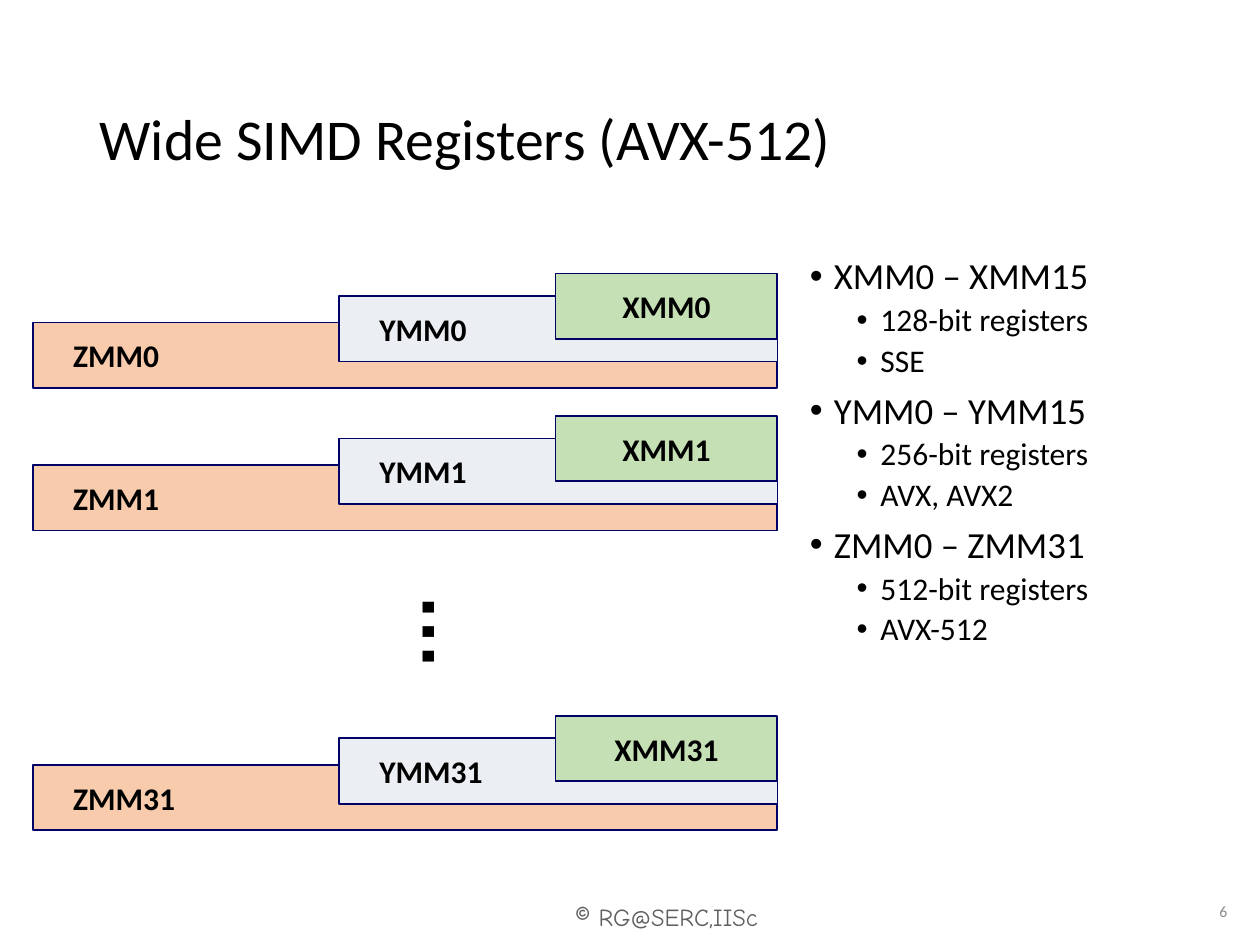
from lxml import etree
from pptx import Presentation
from pptx.dml.color import RGBColor
from pptx.enum.shapes import MSO_SHAPE
from pptx.enum.text import MSO_ANCHOR, PP_ALIGN
from pptx.oxml.ns import qn
from pptx.util import Inches, Pt

RECTANGLE = MSO_SHAPE.RECTANGLE
TOP, MIDDLE = MSO_ANCHOR.TOP, MSO_ANCHOR.MIDDLE
LEFT, CENTER, RIGHT = PP_ALIGN.LEFT, PP_ALIGN.CENTER, PP_ALIGN.RIGHT


def color(hex_string):
    return RGBColor.from_string(hex_string)


def write(shape, text, size, font="Calibri", fill="000000", bold=False, align=LEFT, anchor=MIDDLE):
    frame = shape.text_frame
    frame.text = text
    frame.word_wrap = True
    frame.vertical_anchor = anchor
    paragraph = frame.paragraphs[0]
    paragraph.alignment = align
    for run in paragraph.runs:
        run.font.size = Pt(size)
        run.font.name = font
        run.font.bold = bold
        run.font.color.rgb = color(fill)
    return paragraph


presentation = Presentation()
presentation.slide_width = Inches(10)
presentation.slide_height = Inches(7.5)
slide = presentation.slides.add_slide(presentation.slide_layouts[5])
shapes = slide.shapes

title = shapes.title
title.left, title.top = Inches(0.69), Inches(0.4)
title.width, title.height = Inches(8.62), Inches(1.45)
write(title, "Wide SIMD Registers (AVX-512)", 33).line_spacing = 0.9

registers_right = 6.17
register_kinds = [
    ("ZMM", 5.91, 0.39, "F8CBAD", LEFT),
    ("YMM", 3.48, 0.18, "EBEEF2", LEFT),
    ("XMM", 1.76, 0, "C5E0B4", CENTER),
]
for number, group_top in ((0, 2.17), (1, 3.3), (31, 5.68)):
    for name, width, offset, fill, align in register_kinds:
        register = shapes.add_shape(
            RECTANGLE, Inches(registers_right - width), Inches(group_top + offset), Inches(width), Inches(0.52)
        )
        register.shadow.inherit = False
        register.fill.solid()
        register.fill.fore_color.rgb = color(fill)
        register.line.color.rgb = color("000066")
        register.line.width = Pt(1)
        write(register, f"{name}{number}", 18, bold=True, align=align)
        if align == LEFT:
            register.text_frame.margin_left = Inches(0.32)

ellipsis = shapes.add_textbox(Inches(2.8), Inches(4.59), Inches(0.82), Inches(0.84))
ellipsis.rotation = 270
write(ellipsis, "…", 44, font="Arial", bold=True, anchor=TOP)
ellipsis.text_frame.word_wrap = False

bullets = [
    (0, "XMM0 – XMM15"),
    (1, "128-bit registers"),
    (1, "SSE"),
    (0, "YMM0 – YMM15"),
    (1, "256-bit registers"),
    (1, "AVX, AVX2"),
    (0, "ZMM0 – ZMM31"),
    (1, "512-bit registers"),
    (1, "AVX-512"),
]
level_styles = [(21, 7.5, 0.19), (18, 3.8, 0.56)]
body = shapes.add_textbox(Inches(6.33), Inches(2), Inches(3.67), Inches(4.76))
body.text_frame.text = "\n".join(text for level, text in bullets)
body.text_frame.word_wrap = True
for index, (paragraph, (level, text)) in enumerate(zip(body.text_frame.paragraphs, bullets)):
    size, space_before, indent = level_styles[level]
    properties = paragraph._p.get_or_add_pPr()
    properties.set("marL", str(Inches(indent)))
    properties.set("indent", str(Inches(-0.19)))
    etree.SubElement(properties, qn("a:buFont")).set("typeface", "Arial")
    etree.SubElement(properties, qn("a:buChar")).set("char", "•")
    paragraph.level = level
    paragraph.line_spacing = 0.9
    paragraph.space_before = Pt(space_before if index else 0)
    font = paragraph.runs[0].font
    font.size = Pt(size)
    font.name = "Calibri"
    font.color.rgb = color("000000")

slide_number = shapes.add_textbox(Inches(8.67), Inches(7.11), Inches(1.17), Inches(0.25))
write(slide_number, "6", 9, fill="8C8C8C", align=RIGHT)

footer = shapes.add_textbox(Inches(4), Inches(7.08), Inches(2.58), Inches(0.27))
footer_paragraph = write(footer, "©", 16, font="Comic Neue", fill="5F5F5F", align=CENTER, anchor=TOP)
owner = footer_paragraph.add_run()
owner.text = " RG@SERC,IISc"
owner.font.size = Pt(14)
owner.font.name = "Comic Neue"
owner.font.color.rgb = color("5F5F5F")

presentation.save("out.pptx")
